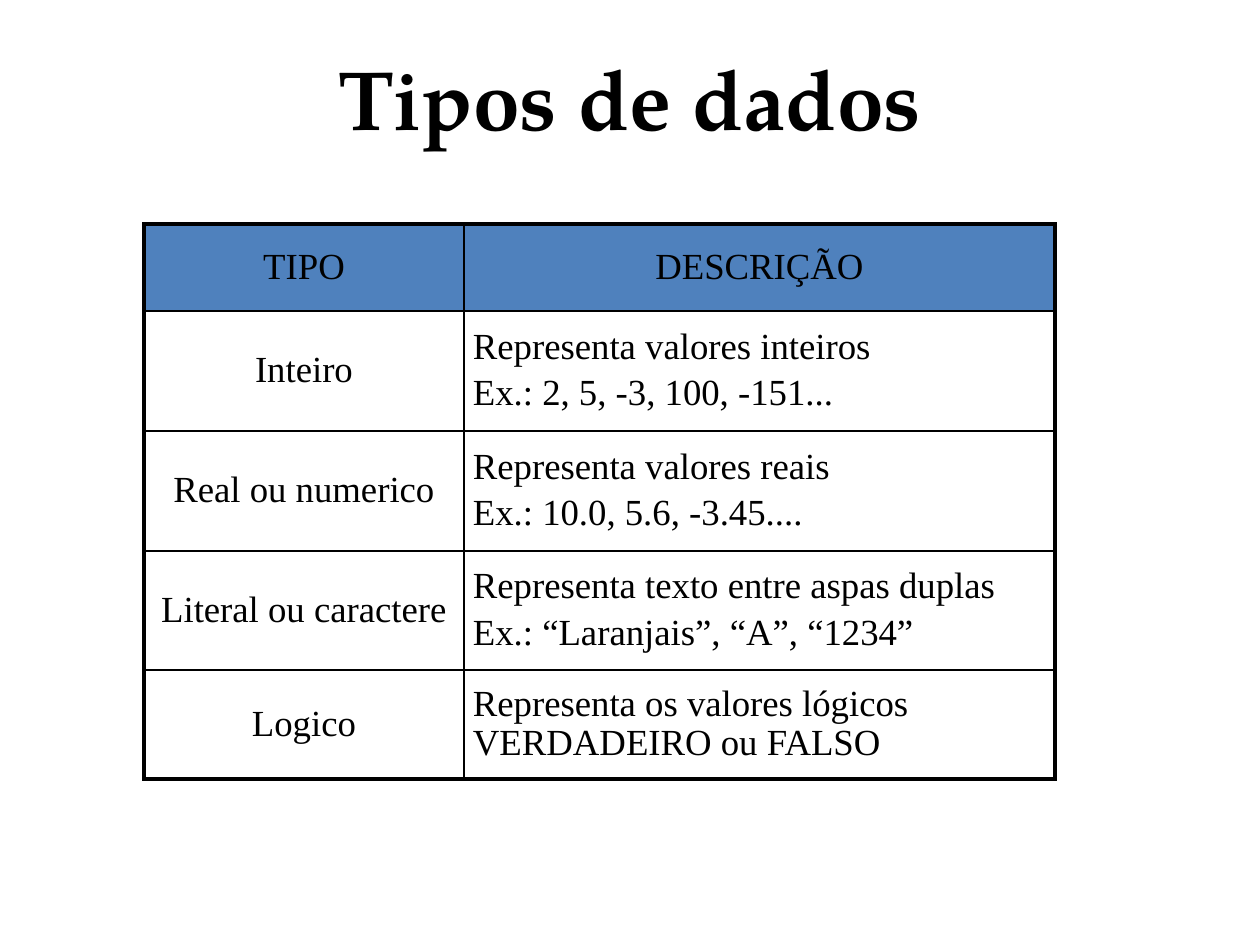
from pptx import Presentation
from pptx.dml.color import RGBColor
from pptx.enum.text import MSO_ANCHOR, PP_ALIGN
from pptx.oxml import parse_xml
from pptx.oxml.ns import nsdecls
from pptx.util import Emu, Pt

SCALE = 914400 // 126
COLORS = {"ink": "000000", "head": "4F81BD", "page": "FFFFFF"}
ROWS = [
    ("TIPO", ["DESCRIÇÃO"]),
    ("Inteiro", ["Representa valores inteiros", "Ex.: 2, 5, -3, 100, -151..."]),
    ("Real ou numerico", ["Representa valores reais", "Ex.: 10.0, 5.6, -3.45...."]),
    ("Literal ou caractere", ["Representa texto entre aspas duplas",
                              "Ex.: “Laranjais”, “A”, “1234”"]),
    ("Logico", ["Representa os valores lógicos VERDADEIRO ou FALSO"]),
]
WIDTHS = [320, 591]
HEIGHTS = [87, 120, 120, 119, 109]


def px(n):
    return Emu(n * SCALE)


def color(name):
    return RGBColor.from_string(COLORS[name])


def style(par, face, size, align, bold=False):
    par.alignment = align
    font = par.font
    font.name, font.size, font.bold = face, Pt(size), bold
    font.color.rgb = color("ink")


def add_title(slide, left, top, width, height):
    box = slide.shapes.add_textbox(px(left), px(top), px(width), px(height))
    frame = box.text_frame
    frame.word_wrap = True
    frame.vertical_anchor = MSO_ANCHOR.MIDDLE
    frame.text = "Tipos de dados"
    style(frame.paragraphs[0], "TeX Gyre Pagella", 48, PP_ALIGN.CENTER, True)


def add_edges(cell, sides):
    # Borders come before the fill in the cell properties
    props = cell._tc.get_or_add_tcPr()
    for i, (side, thick) in enumerate(sides.items()):
        width = Pt(2.25 if thick else 1)
        props.insert(i, parse_xml(
            f'<a:ln{side} {nsdecls("a")} w="{width}"><a:solidFill>'
            f'<a:srgbClr val="{COLORS["ink"]}"/></a:solidFill></a:ln{side}>'))


def fill_cell(cell, lines, align, back):
    cell.fill.solid()
    cell.fill.fore_color.rgb = color(back)
    cell.vertical_anchor = MSO_ANCHOR.MIDDLE
    cell.margin_left = cell.margin_right = px(9)
    cell.margin_top = cell.margin_bottom = px(5)
    cell.text = "\n".join(lines)
    for par in cell.text_frame.paragraphs:
        style(par, "Times New Roman", 21, align)
        par.line_spacing = 0.95
        par.space_before = Pt(4.5)


def add_types(slide, left, top):
    shape = slide.shapes.add_table(len(ROWS), len(WIDTHS), px(left), px(top),
                                   px(sum(WIDTHS)), px(sum(HEIGHTS)))
    table = shape.table
    for col, width in zip(table.columns, WIDTHS):
        col.width = px(width)
    for r, (kind, about) in enumerate(ROWS):
        table.rows[r].height = px(HEIGHTS[r])
        for c, lines in enumerate([[kind], about]):
            cell = table.cell(r, c)
            mid = r == 0 or c == 0
            fill_cell(cell, lines, PP_ALIGN.CENTER if mid else PP_ALIGN.LEFT,
                      "head" if r == 0 else "page")
            # Outer edges are thick
            add_edges(cell, {"L": c == 0, "R": c == len(WIDTHS) - 1,
                             "T": r == 0, "B": r == len(ROWS) - 1})


deck = Presentation()
deck.slide_width, deck.slide_height = px(1260), px(945)
slide = deck.slides.add_slide(deck.slide_layouts[6])
add_title(slide, 63, 38, 1134, 118)
add_types(slide, 144, 224)
deck.save("out.pptx")
